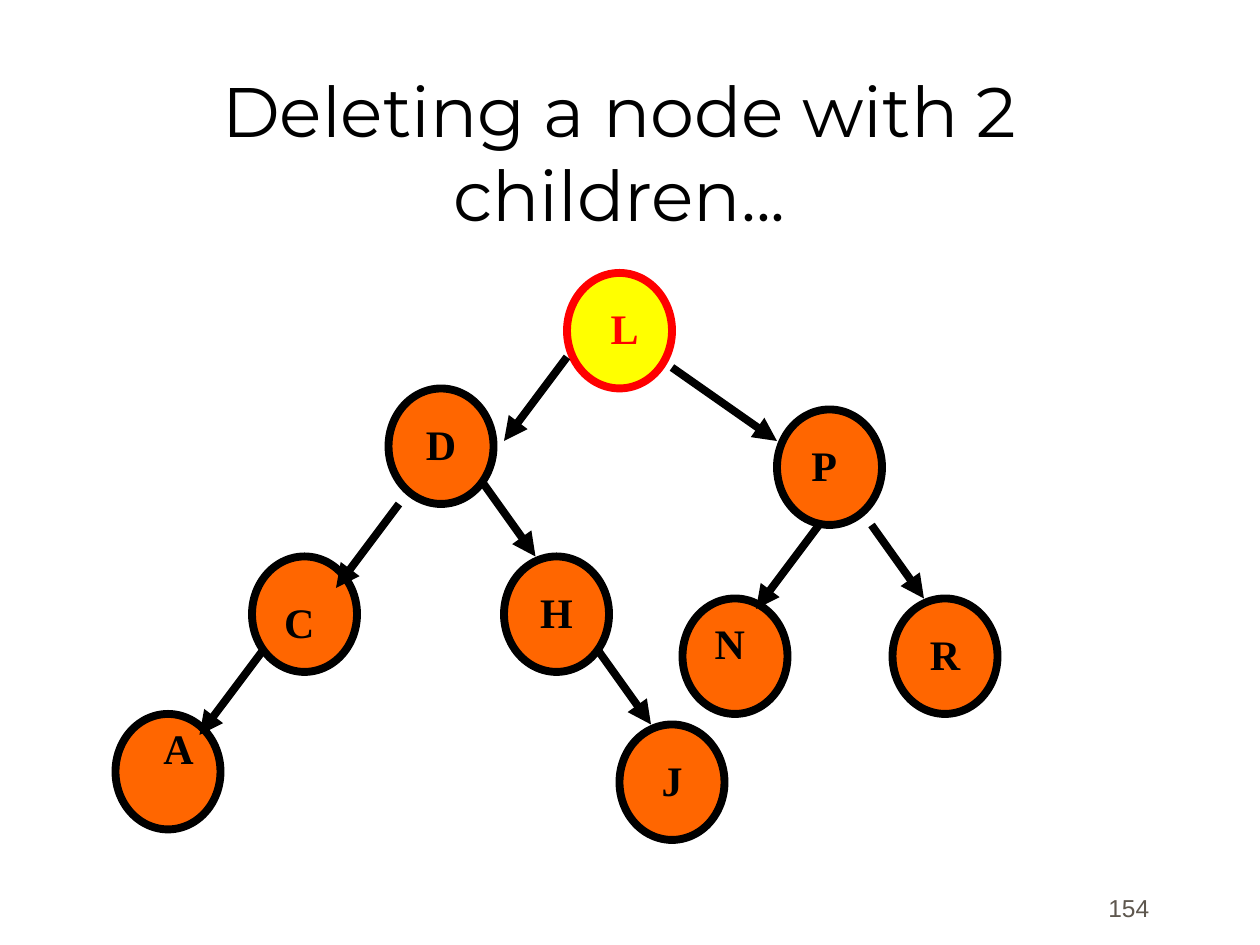
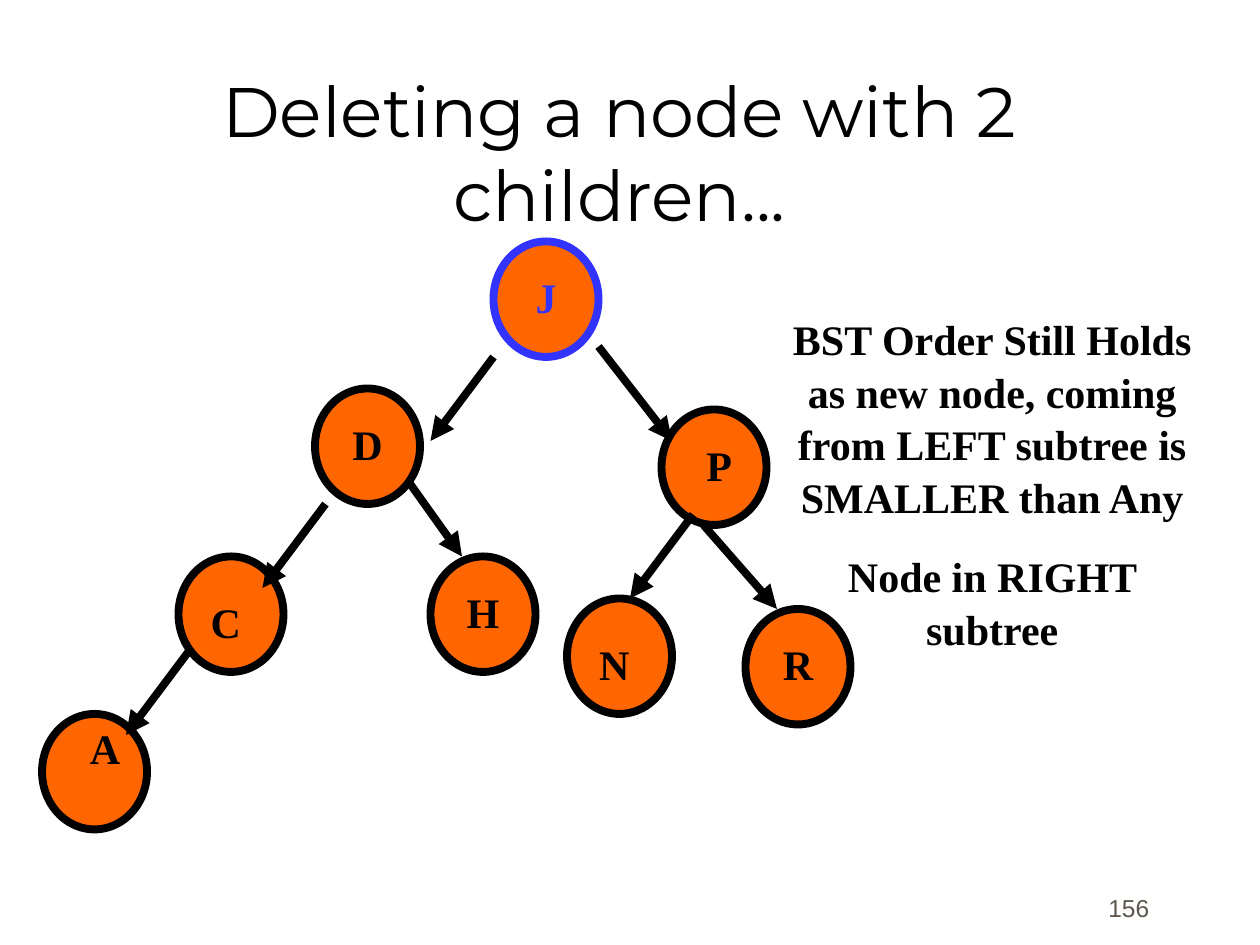
from pptx import Presentation
from pptx import util as u
from pptx.dml.color import RGBColor
from pptx.enum import shapes, text
from pptx.oxml import parse_xml
from pptx.oxml.ns import nsdecls
from lxml import etree

CENTER, RIGHT = text.PP_ALIGN.CENTER, text.PP_ALIGN.RIGHT
TOP, BOTTOM = text.MSO_ANCHOR.TOP, text.MSO_ANCHOR.BOTTOM

THEME = {
    "black": RGBColor.from_string("000000"),
    "orange": RGBColor.from_string("FF6600"),
    "yellow": RGBColor.from_string("FFFF00"),
    "red": RGBColor.from_string("FF0000"),
    "blue": RGBColor.from_string("3333FF"),
    "grey": RGBColor.from_string("5E574E"),
    "stroke": u.Pt(4.5),
    "title": {"name": "Montserrat", "size": u.Pt(40), "bold": False},
    "label": {"name": "Times New Roman", "size": u.Pt(24), "bold": True},
    "number": {"name": "Arial", "size": u.Pt(14), "bold": False},
}
FRAME = {"word_wrap": True, "auto_size": text.MSO_AUTO_SIZE.NONE}
LABEL_PARAGRAPH = {"alignment": CENTER, "line_spacing": 1.05}
GAP = u.Pt(15)
NODE_WIDTH, NODE_HEIGHT, LABEL_HEIGHT = 10, 11, 6


def grid(*steps):
    return [u.Cm(step * 2.54 / 12) for step in steps]


def write(shape, lines, style, color, paragraph_format, anchor=TOP):
    frame = shape.text_frame
    for name, value in {**FRAME, "vertical_anchor": anchor}.items():
        setattr(frame, name, value)
    for index, line in enumerate(lines):
        paragraph = frame.add_paragraph() if index else frame.paragraphs[0]
        paragraph.space_before = GAP if index else u.Pt(0)
        for name, value in paragraph_format.items():
            setattr(paragraph, name, value)
        run = paragraph.add_run()
        run.text = line
        for name, value in THEME[style].items():
            setattr(run.font, name, value)
        run.font.color.rgb = THEME[color]


# letter, node left and top, label offset and width
LEFT_NODES = [
    ("D", 37, 37, 2, 2, 6),
    ("H", 48, 53, 1, 2, 8),
    ("C", 24, 53, 1, 3, 7),
    ("A", 11, 68, 2, 0, 8),
]
LEFT_ARROWS = [
    (25, 62, 19, 70),
    (38, 48, 32, 56),
    (54, 34, 48, 42),
    (46, 46, 51, 53),
]
TREES = [
    {
        "number": "154",
        "shift": 0,
        "root_colors": ("yellow", "red"),
        "nodes": [
            ("L", 54, 26, 2, 2, 7),
            ("P", 74, 39, 1, 2, 7),
            ("J", 59, 69, 1, 2, 8),
            ("N", 65, 57, 1, 1, 7),
            ("R", 85, 57, 1, 2, 8),
        ],
        "arrows": [
            (57, 62, 62, 69),
            (64, 35, 74, 42),
            (78, 50, 72, 58),
            (83, 50, 88, 57),
        ],
        "note": [],
    },
    {
        "number": "156",
        "shift": -7,
        "root_colors": ("orange", "blue"),
        "nodes": [
            ("J", 47, 23, 1, 2, 8),
            ("P", 63, 39, 2, 2, 7),
            ("N", 54, 57, 1, 3, 7),
            ("R", 71, 58, 1, 2, 8),
        ],
        "arrows": [
            (57, 33, 64, 42),
            (66, 49, 60, 57),
            (67, 50, 74, 58),
        ],
        "note": [
            "BST Order Still Holds as new node, coming from LEFT subtree is SMALLER than Any",
            "Node in RIGHT subtree",
        ],
    },
]

presentation = Presentation()
presentation.slide_width = u.Cm(25.4)
presentation.slide_height = u.Cm(19.05)
title_only = presentation.slide_layouts[5]

for tree in TREES:
    slide = presentation.slides.add_slide(title_only)
    title = slide.shapes.title
    title.left, title.top, title.width, title.height = grid(8, 8, 102, 15)
    write(title, ["Deleting a node with 2 children..."], "title", "black",
          {"alignment": CENTER}, BOTTOM)

    shift = tree["shift"]
    nodes = tree["nodes"] + [
        (letter, left + shift, *rest) for letter, left, *rest in LEFT_NODES
    ]
    arrows = tree["arrows"] + [
        (x1 + shift, y1, x2 + shift, y2) for x1, y1, x2, y2 in LEFT_ARROWS
    ]

    for index, (letter, left, top, *label) in enumerate(nodes):
        fill, outline = ("orange", "black") if index else tree["root_colors"]
        node = slide.shapes.add_shape(
            shapes.MSO_SHAPE.OVAL, *grid(left, top, NODE_WIDTH, NODE_HEIGHT))
        node.shadow.inherit = False
        node.fill.solid()
        node.fill.fore_color.rgb = THEME[fill]
        node.line.color.rgb = THEME[outline]
        node.line.width = THEME["stroke"]

    for ends in arrows:
        arrow = slide.shapes.add_connector(shapes.MSO_CONNECTOR.STRAIGHT, *grid(*ends))
        arrow.line.color.rgb = THEME["black"]
        arrow.line.width = THEME["stroke"]
        arrow.line._get_or_add_ln().append(
            parse_xml(f'<a:tailEnd {nsdecls("a")} type="triangle"/>'))
        arrow._element.spPr.append(parse_xml(f'<a:effectLst {nsdecls("a")}/>'))

    for index, (letter, left, top, right_by, down_by, width) in enumerate(nodes):
        label = slide.shapes.add_textbox(
            *grid(left + right_by, top + down_by, width, LABEL_HEIGHT))
        color = "black" if index else tree["root_colors"][1]
        write(label, [letter], "label", color, LABEL_PARAGRAPH)

    if tree["note"]:
        note = slide.shapes.add_textbox(*grid(73, 29, 43, 32.5))
        write(note, tree["note"], "label", "black", LABEL_PARAGRAPH)

    number = slide.shapes.add_textbox(u.Cm(18.34), u.Cm(17.3), u.Cm(5.08), u.Cm(1.42))
    write(number, [tree["number"]], "number", "grey", {"alignment": RIGHT}, BOTTOM)

presentation.save("out.pptx")
